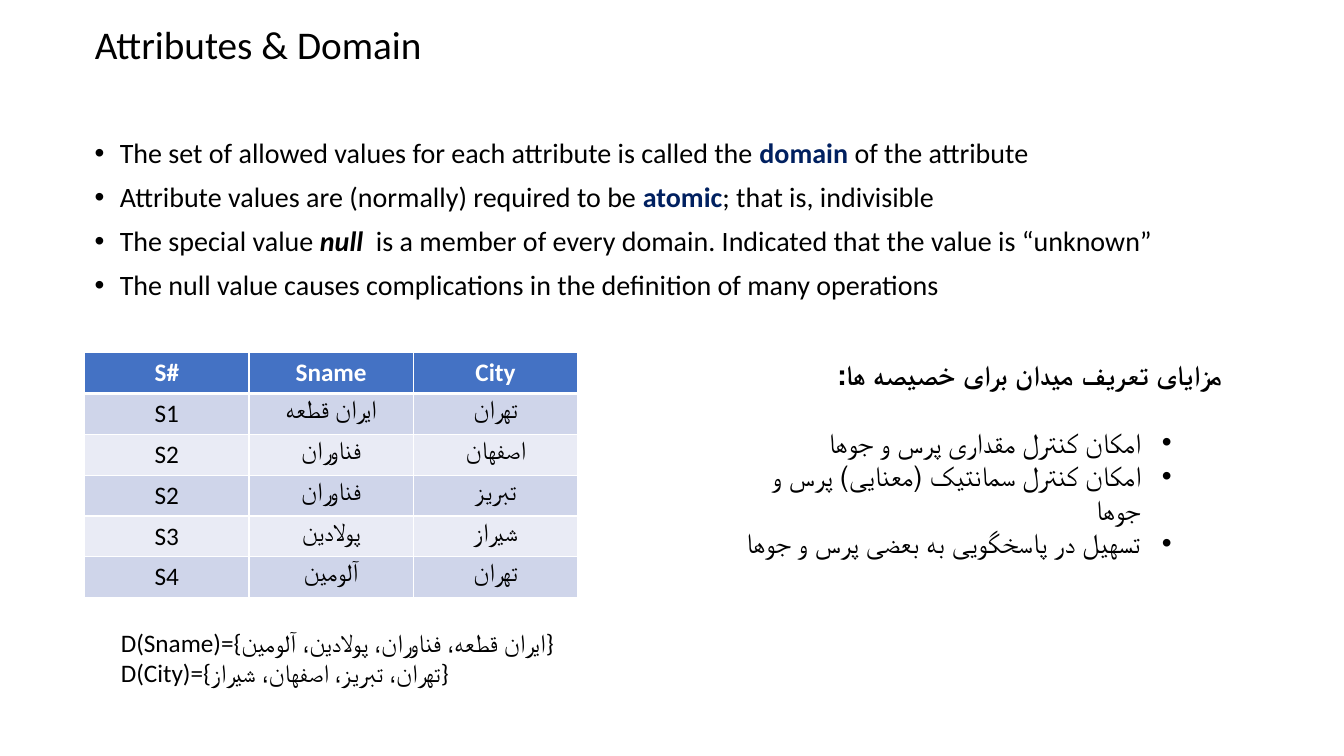
import dataclasses

import lxml.etree
import pptx
import pptx.dml.color
import pptx.enum.text
import pptx.oxml.ns
import pptx.util

Inches = pptx.util.Inches
Align = pptx.enum.text.PP_ALIGN
Anchor = pptx.enum.text.MSO_ANCHOR


@dataclasses.dataclass(frozen=True)
class Theme:
    font: str = "Calibri"
    bullet_font: str = "Arial"
    title_size: int = 28
    body_size: int = 20
    table_size: int = 18
    black: str = "000000"
    white: str = "FFFFFF"
    accent: str = "002060"
    header: str = "4472C4"
    bands: tuple = ("CFD5EA", "E9EBF5")


THEME = Theme()
RULES = [
    [("The set of allowed values for each attribute is called the ", ""),
     ("domain ", "accent"), ("of the attribute", "")],
    [("Attribute values are (normally) required to be ", ""),
     ("atomic", "accent"), ("; that is, indivisible", "")],
    [("The special value ", ""), ("null", "italic"),
     ("  is a member of every domain. Indicated that the value is “unknown”", "")],
    [("The null value causes complications in the definition of many operations", "")],
]
SUPPLIERS = [
    ("S#", "Sname", "City"),
    ("S1", "ایران قطعه", "تهران"),
    ("S2", "فناوران", "اصفهان"),
    ("S2", "فناوران", "تبریز"),
    ("S3", "پولادین", "شیراز"),
    ("S4", "آلومین", "تهران"),
]
BENEFITS_HEADING = "مزایای تعریف میدان برای خصیصه ها:"
BENEFITS = [
    "امکان کنترل مقداری پرس و جوها ",
    "امکان کنترل سمانتیک (معنایی) پرس و جوها ",
    "تسهیل در پاسخگویی به بعضی پرس و جوها",
]
DOMAINS = [
    "D(Sname)={ایران قطعه، فناوران، پولادین، آلومین}",
    "D(City)={تهران، تبریز، اصفهان، شیراز}",
]


def rgb(color):
    return pptx.dml.color.RGBColor.from_string(color)


def add_element(parent, tag, **attributes):
    element = lxml.etree.SubElement(parent, pptx.oxml.ns.qn(tag))
    for name, value in attributes.items():
        element.set(name, str(value))
    return element


def add_text(frame, text, size=THEME.body_size, color=THEME.black, bold=False,
             align=Align.LEFT, line_spacing=None, space_before=0, level=0,
             right_to_left=False, bullet_indent=None):
    """Text is a string or a list of (string, style) pairs."""
    first = frame.paragraphs[0]
    paragraph = frame.add_paragraph() if first.runs else first
    paragraph.alignment = align
    paragraph.level = level
    paragraph.space_before = pptx.util.Pt(space_before)
    if line_spacing:
        paragraph.line_spacing = line_spacing
    properties = paragraph._p.get_or_add_pPr()
    if right_to_left:
        properties.set("rtl", "1")
    if bullet_indent:
        margin, hanging = bullet_indent
        properties.set("marL", str(Inches(margin)))
        properties.set("indent", str(-Inches(hanging)))
        add_element(properties, "a:buFont", typeface=THEME.bullet_font)
        add_element(properties, "a:buChar", char="•")
    for content, style in [(text, "")] if isinstance(text, str) else text:
        run = paragraph.add_run()
        run.text = content
        run.font.name = THEME.font
        run.font.size = pptx.util.Pt(size)
        run.font.bold = bold or style != ""
        run.font.italic = style == "italic"
        run.font.color.rgb = rgb(THEME.accent if style == "accent" else color)


def add_text_box(slide, box):
    frame = slide.shapes.add_textbox(*map(Inches, box)).text_frame
    frame.word_wrap = True
    return frame


def set_title(slide, text, box):
    title = slide.shapes.title
    title.left, title.top, title.width, title.height = map(Inches, box)
    title.text_frame.vertical_anchor = Anchor.MIDDLE
    add_text(title.text_frame, text, size=THEME.title_size, line_spacing=0.9)


def add_rules(slide, box):
    frame = add_text_box(slide, box)
    for rule in RULES:
        add_text(frame, rule, line_spacing=0.9, space_before=10,
                 bullet_indent=(0.25, 0.25))


def add_benefits(slide, box):
    frame = add_text_box(slide, box)
    add_text(frame, BENEFITS_HEADING, bold=True, align=Align.RIGHT, right_to_left=True)
    for index, benefit in enumerate(BENEFITS):
        add_text(frame, benefit, align=Align.RIGHT, right_to_left=True, level=1,
                 space_before=0 if index else 24, bullet_indent=(0.81, 0.31))


def set_borders(cell, is_header, below_header):
    properties = cell._tc.get_or_add_tcPr()
    widths = {"a:lnL": 1, "a:lnR": 1, "a:lnT": 3 if below_header else 1,
              "a:lnB": 3 if is_header else 1}
    for tag, width in widths.items():
        line = add_element(properties, tag, w=pptx.util.Pt(width))
        add_element(add_element(line, "a:solidFill"), "a:srgbClr", val=THEME.white)


def add_suppliers(slide, box):
    table = slide.shapes.add_table(
        len(SUPPLIERS), len(SUPPLIERS[0]), *map(Inches, box)).table
    for row, values in enumerate(SUPPLIERS):
        is_header = row == 0
        for column, value in enumerate(values):
            cell = table.cell(row, column)
            set_borders(cell, is_header, row == 1)
            cell.fill.solid()
            cell.fill.fore_color.rgb = rgb(
                THEME.header if is_header else THEME.bands[(row - 1) % 2])
            add_text(cell.text_frame, value, size=THEME.table_size, bold=is_header,
                     color=THEME.white if is_header else THEME.black,
                     align=Align.CENTER)


def add_domains(slide, box):
    frame = add_text_box(slide, box)
    for domain in DOMAINS:
        add_text(frame, domain, size=THEME.table_size)


def main():
    presentation = pptx.Presentation()
    presentation.slide_width = Inches(13.33)
    presentation.slide_height = Inches(7.5)
    slide = presentation.slides.add_slide(presentation.slide_layouts[5])
    set_title(slide, "Attributes & Domain", (0.84, 0.13, 8.83, 0.67))
    add_rules(slide, (0.84, 1.33, 10.73, 2.42))
    add_benefits(slide, (7.26, 3.5, 4.96, 2.12))
    add_suppliers(slide, (0.84, 3.5, 4.89, 2.43))
    add_domains(slide, (1.1, 6.17, 6.54, 1.01))
    presentation.save("out.pptx")


if __name__ == "__main__":
    main()
